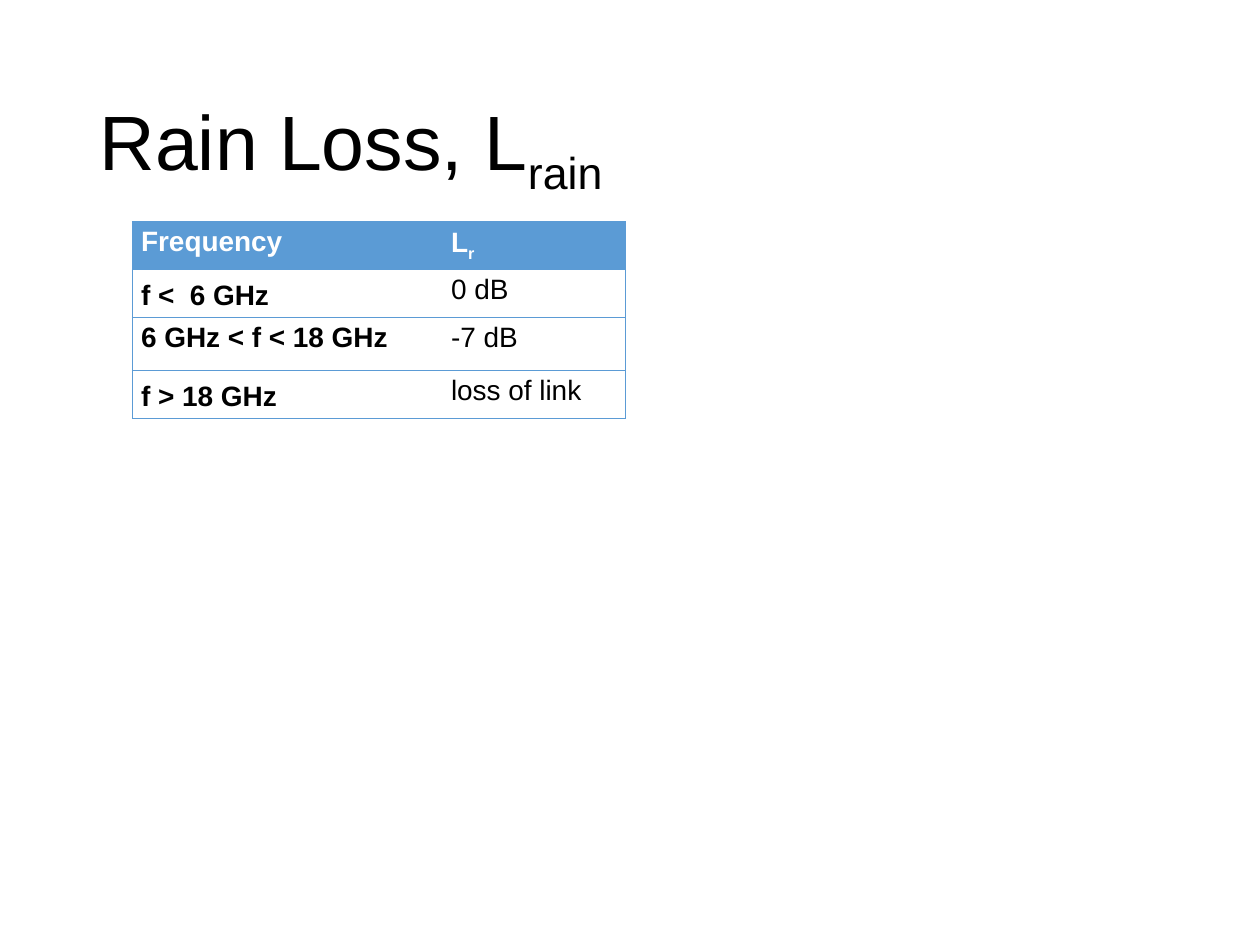
import pptx
import pptx.util
import pptx.dml.color
import pptx.enum.text
import pptx.oxml
import pptx.oxml.ns

BLUE = "5B9BD5"
WHITE = "FFFFFF"
BLACK = "000000"
ANCHOR = pptx.enum.text.MSO_ANCHOR
Inches = pptx.util.Inches
Pt = pptx.util.Pt


def color(value):
    return pptx.dml.color.RGBColor.from_string(value)


def write(para, text, subscript, size, tone, bold, spacing):
    para.alignment = pptx.enum.text.PP_ALIGN.LEFT
    para.line_spacing = spacing
    para.font.name = "Arial"
    para.font.size = Pt(size)
    para.font.bold = bold
    para.font.color.rgb = color(tone)
    para.add_run().text = text
    if subscript:
        span = para.add_run()
        span.text = subscript
        span.font._element.set("baseline", "-25000")


deck = pptx.Presentation()
deck.slide_width, deck.slide_height = Inches(10), Inches(7.5)
page = deck.slides.add_slide(deck.slide_layouts[5])

title = page.shapes.title
title.left, title.top = Inches(0.69), Inches(0.4)
title.width, title.height = Inches(8.62), Inches(1.45)
title.text_frame.vertical_anchor = ANCHOR.MIDDLE
write(title.text_frame.paragraphs[0], "Rain Loss, L", "rain", 44, BLACK, False, 0.9)

rows = [
    (("Frequency", ""), ("L", "r")),
    (("f <  6 GHz", ""), ("0 dB", "")),
    (("6 GHz < f < 18 GHz", ""), ("-7 dB", "")),
    (("f > 18 GHz", ""), ("loss of link", "")),
]
widths = [2.46, 1.45]
heights = [0.38, 0.38, 0.42, 0.38]

table = page.shapes.add_table(
    len(rows), len(widths), Inches(1.05), Inches(1.76),
    Inches(sum(widths)), Inches(sum(heights)),
).table
table.horz_banding = False
for column, width in zip(table.columns, widths):
    column.width = Inches(width)

for r, (entries, height) in enumerate(zip(rows, heights)):
    table.rows[r].height = Inches(height)
    for c, (text, subscript) in enumerate(entries):
        cell = table.cell(r, c)
        header = r == 0
        cell.margin_left = cell.margin_right = Inches(0.07)
        cell.margin_top = cell.margin_bottom = 0
        centred = c == 0 and r in (1, 3)
        cell.vertical_anchor = ANCHOR.MIDDLE if centred else ANCHOR.TOP

        properties = cell._tc.get_or_add_tcPr()
        inner = "R" if c == 0 else "L"
        for side in "LRTB":
            paint = "<a:noFill/>" if side == inner else (
                f'<a:solidFill><a:srgbClr val="{BLUE}"/></a:solidFill>'
            )
            properties.append(pptx.oxml.parse_xml(
                f'<a:ln{side} {pptx.oxml.ns.nsdecls("a")} w="{Pt(0.5)}">{paint}</a:ln{side}>'
            ))

        if header:
            cell.fill.solid()
            cell.fill.fore_color.rgb = color(BLUE)
        else:
            cell.fill.background()
        write(
            cell.text_frame.paragraphs[0], text, subscript, 16,
            WHITE if header else BLACK, header or c == 0, 1.15,
        )

deck.save("out.pptx")
